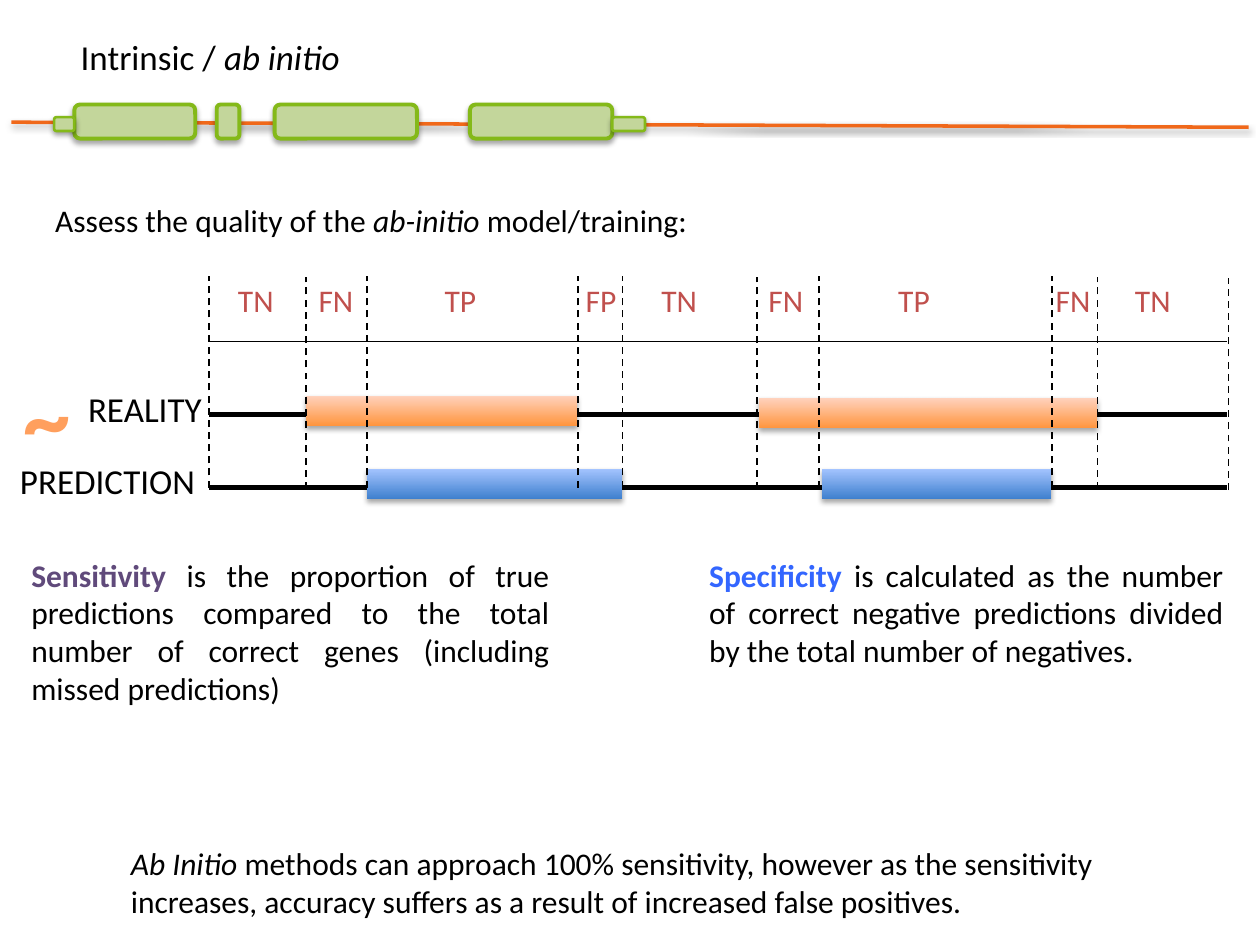
"""Build the slide on assessing ab initio gene prediction."""
from lxml import etree
from pptx import Presentation
from pptx.dml.color import RGBColor
from pptx.enum.dml import MSO_LINE
from pptx.enum.shapes import MSO_CONNECTOR, MSO_SHAPE
from pptx.enum.text import MSO_ANCHOR, MSO_AUTO_SIZE, PP_ALIGN
from pptx.oxml.ns import qn
from pptx.util import Inches, Pt

STRAIGHT = MSO_CONNECTOR.STRAIGHT
RECT, ROUNDED = MSO_SHAPE.RECTANGLE, MSO_SHAPE.ROUNDED_RECTANGLE
DASH = MSO_LINE.DASH
TOP = MSO_ANCHOR.TOP
GROW = MSO_AUTO_SIZE.SHAPE_TO_FIT_TEXT
LEFT, CENTER, JUSTIFY = PP_ALIGN.LEFT, PP_ALIGN.CENTER, PP_ALIGN.JUSTIFY

BLACK = RGBColor(0x00, 0x00, 0x00)
RED = RGBColor(0xC0, 0x50, 0x4D)
PURPLE = RGBColor(0x60, 0x4A, 0x7B)
BLUE = RGBColor(0x33, 0x66, 0xFF)
TILDE = RGBColor(0xFF, 0x9F, 0x5D)
GENE_LINE = RGBColor(0xF0, 0x68, 0x1A)
EXON_FILL = RGBColor(0xC3, 0xD6, 0x9B)
EXON_LINE = RGBColor(0x84, 0xB9, 0x19)
ORANGES = RGBColor(0xFF, 0x95, 0x3E), RGBColor(0xFF, 0xD2, 0xBD)
BLUES = RGBColor(0x3F, 0x80, 0xCE), RGBColor(0xA4, 0xC4, 0xFF)


def set_shadow(shape, distance=0, alpha=0):
    effects = etree.SubElement(shape._element.spPr, qn("a:effectLst"))
    if distance:
        outer = etree.SubElement(effects, qn("a:outerShdw"), blurRad=str(Pt(3.1)),
                                 dist=str(Pt(distance)), dir="5400000", rotWithShape="0")
        color = etree.SubElement(outer, qn("a:srgbClr"), val="000000")
        etree.SubElement(color, qn("a:alpha"), val=str(alpha * 1000))


def write(tf, text, size=18, color=BLACK, bold=False, italic=False, align=LEFT):
    p = tf.paragraphs[0]
    p.alignment = align
    r = p.add_run()
    r.text = text
    r.font.name, r.font.size = "Calibri", Pt(size)
    r.font.bold, r.font.italic = bold, italic
    r.font.color.rgb = color


prs = Presentation()
prs.slide_width, prs.slide_height = Inches(10), Inches(7.5)
s = prs.slides.add_slide(prs.slide_layouts[5])

title = s.shapes.title
title.left, title.top = Inches(0.54), Inches(0.23)
title.width, title.height = Inches(2.82), Inches(0.44)
tf = title.text_frame
tf.vertical_anchor, tf.word_wrap, tf.auto_size = TOP, True, GROW
write(tf, "Intrinsic / ", size=20)
write(tf, "ab initio", size=20, italic=True)

gene = s.shapes.add_connector(STRAIGHT, Inches(0.09), Inches(0.97), Inches(9.91), Inches(1.01))
gene.line.color.rgb, gene.line.width = GENE_LINE, Pt(2)
set_shadow(gene, distance=1.6, alpha=38)

exons = [(0.59, 0.96), (1.72, 0.18), (2.18, 1.13), (3.73, 1.13)]
utrs = [(4.86, 0.26), (0.43, 0.16)]
for parts, top, height, weight in [(exons, 0.83, 0.27, 2.25), (utrs, 0.93, 0.11, 1.5)]:
    for left, width in parts:
        sp = s.shapes.add_shape(ROUNDED, Inches(left), Inches(top), Inches(width), Inches(height))
        sp.fill.solid()
        sp.fill.fore_color.rgb = EXON_FILL
        sp.line.color.rgb, sp.line.width = EXON_LINE, Pt(weight)
        set_shadow(sp, distance=1.8, alpha=35)

for y, weight in [(2.71, 1), (3.29, 3), (3.87, 3)]:
    track = s.shapes.add_connector(STRAIGHT, Inches(1.66), Inches(y), Inches(9.74), Inches(y))
    track.line.color.rgb, track.line.width = BLACK, Pt(weight)
    set_shadow(track)

bars = [(2.43, 3.14, 2.15, ORANGES), (6.02, 3.16, 2.69, ORANGES),
        (2.91, 3.72, 2.03, BLUES), (6.52, 3.72, 1.82, BLUES)]
for left, top, width, colors in bars:
    sp = s.shapes.add_shape(RECT, Inches(left), Inches(top), Inches(width), Inches(0.24))
    sp.fill.gradient()
    sp.fill.gradient_angle = 90
    for stop, color in zip(sp.fill.gradient_stops, colors):
        stop.color.rgb = color
    sp.line.fill.background()
    set_shadow(sp, distance=1.8, alpha=35)

boundaries = [(1.66, 2.19), (2.43, 2.2), (2.91, 2.19), (4.59, 2.19), (4.94, 2.19),
              (6.01, 2.2), (6.5, 2.19), (8.35, 2.19), (8.71, 2.2), (9.75, 2.21)]
for x, top in boundaries:
    line = s.shapes.add_connector(STRAIGHT, Inches(x), Inches(top + 1.68), Inches(x), Inches(top))
    line.line.color.rgb, line.line.width = BLACK, Pt(1)
    line.line.dash_style = DASH
    set_shadow(line)

label_widths = {"TN": 0.64, "FN": 0.62, "TP": 0.59, "FP": 0.57}
labels = [("TN", 1.79), ("FN", 2.43), ("TP", 3.43), ("FP", 4.55), ("TN", 5.15),
          ("FN", 6), ("TP", 7.03), ("FN", 8.28), ("TN", 8.91)]
texts = [
    ((0.34, 1.55, 5.27, 0.4), False, [
        ("Assess the quality of the ", {}),
        ("ab-initio ", {"italic": True}),
        ("model/training:", {})]),
    ((0.6, 3.03, 1.39, 0.43), False, [("REALITY", {"size": 20})]),
    ((0.06, 3.6, 1.85, 0.43), False, [("PREDICTION", {"size": 20})]),
    ((0.06, 2.79, 0.62, 1.01), True, [
        ("~", {"size": 54, "color": TILDE, "bold": True, "align": CENTER})]),
    ((0.15, 4.36, 4.31, 1.31), True, [
        ("Sensitivity ", {"color": PURPLE, "bold": True}),
        ("is the proportion of true predictions compared to the total number of "
         "correct genes (including missed predictions)", {"align": JUSTIFY})]),
    ((5.53, 4.36, 4.28, 1.01), True, [
        ("Specificity ", {"color": BLUE, "bold": True}),
        ("is calculated as the number of correct negative predictions divided by "
         "the total number of negatives.", {"align": JUSTIFY})]),
    ((0.94, 6.65, 8.12, 0.71), True, [
        ("Ab Initio ", {"italic": True}),
        ("methods can approach 100% sensitivity, however as the sensitivity increases, "
         "accuracy suffers as a result of increased false positives.", {})]),
]
texts += [((left, 2.18, label_widths[name], 0.5), False, [(name, {"color": RED})])
          for name, left in labels]
for box, wrap, runs in texts:
    tf = s.shapes.add_textbox(*map(Inches, box)).text_frame
    tf.word_wrap, tf.auto_size = wrap, GROW
    for text, style in runs:
        write(tf, text, **style)

prs.save("out.pptx")
